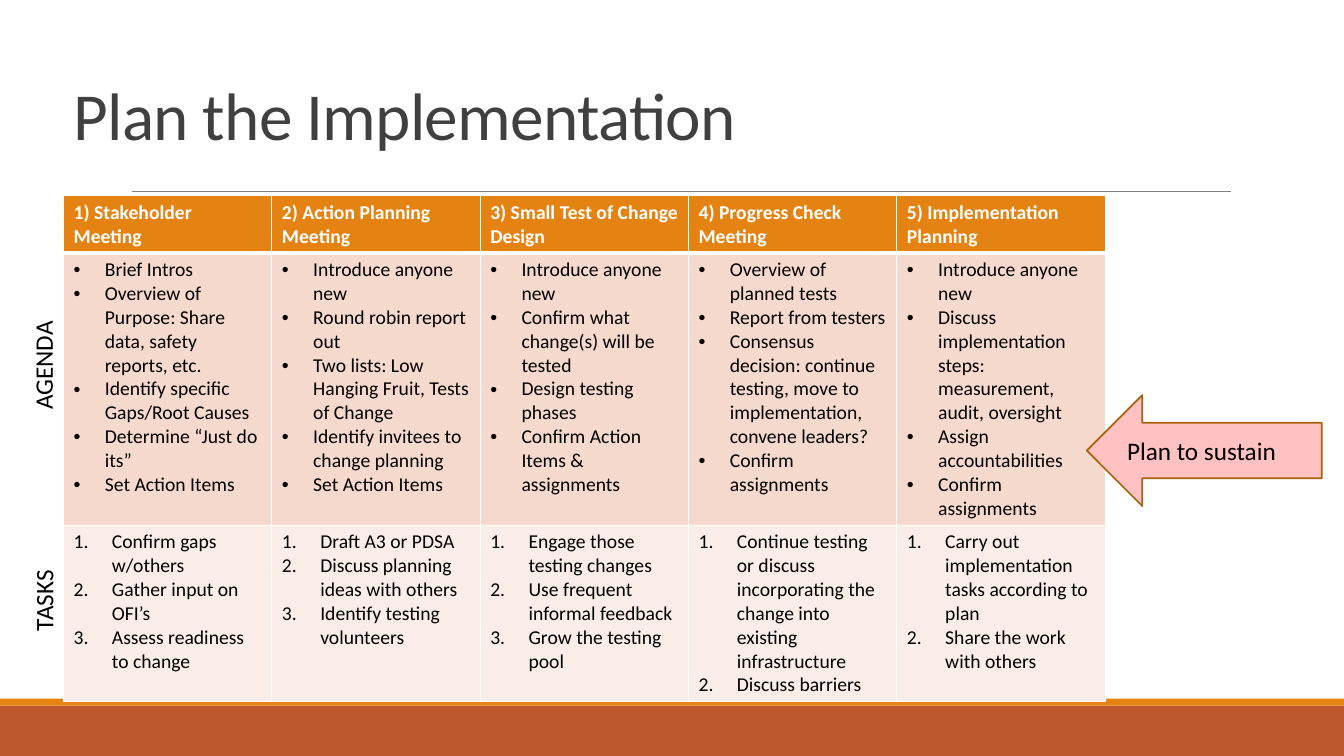
from dataclasses import dataclass
from typing import NamedTuple

from lxml import etree
from pptx import Presentation
from pptx import util as u
from pptx.dml.color import RGBColor
from pptx.enum import shapes, text
from pptx.oxml import ns

WIDTH, HEIGHT = u.Inches(13.33), u.Inches(7.5)
FONT = "Calibri"

WHITE = RGBColor(0xFF, 0xFF, 0xFF)
BLACK = RGBColor(0x00, 0x00, 0x00)
CHARCOAL = RGBColor(0x40, 0x40, 0x40)
GRAY = RGBColor(0x80, 0x80, 0x80)
ORANGE = RGBColor(0xE4, 0x83, 0x12)
RUST = RGBColor(0xBD, 0x58, 0x2C)
BROWN = RGBColor(0xA9, 0x61, 0x0D)
PINK = RGBColor(0xFF, 0xC1, 0xC1)
PEACH = RGBColor(0xF5, 0xD9, 0xCC)
BLUSH = RGBColor(0xFA, 0xED, 0xE7)


class Area(NamedTuple):
    """Left, top, width and height in percent of the slide."""
    left: float
    top: float
    width: float
    height: float

    def lengths(self) -> tuple[int, int, int, int]:
        return (across(self.left), down(self.top), across(self.width), down(self.height))


class Label(NamedTuple):
    wording: str
    area: Area
    rotation: int = 0


class ListStyle(NamedTuple):
    indent: float
    tag: str
    attribute: str
    value: str


@dataclass(frozen=True)
class Meeting:
    heading: str
    agenda: tuple[str, ...]
    tasks: tuple[str, ...]


@dataclass(frozen=True)
class RowStyle:
    height: float
    fill: RGBColor
    color: RGBColor
    bold: bool
    top_line: float
    bottom_line: float
    marker: ListStyle | None = None


BULLETS = ListStyle(0.31, "a:buChar", "char", "•")
NUMBERS = ListStyle(0.38, "a:buAutoNum", "type", "arabicPeriod")

ROW_STYLES = (
    RowStyle(7.6, ORANGE, WHITE, True, 1, 3),
    RowStyle(36, PEACH, BLACK, False, 3, 1, BULLETS),
    RowStyle(23.3, BLUSH, BLACK, False, 1, 1, NUMBERS),
)

MEETINGS = (
    Meeting("1) Stakeholder Meeting",
            ("Brief Intros", "Overview of Purpose: Share data, safety reports, etc.",
             "Identify specific Gaps/Root Causes", "Determine “Just do its”",
             "Set Action Items"),
            ("Confirm gaps w/others", "Gather input on OFI’s",
             "Assess readiness to change")),
    Meeting("2) Action Planning Meeting",
            ("Introduce anyone new", "Round robin report out",
             "Two lists: Low Hanging Fruit, Tests of Change",
             "Identify invitees to change planning", "Set Action Items"),
            ("Draft A3 or PDSA", "Discuss planning ideas with others",
             "Identify testing volunteers")),
    Meeting("3) Small Test of Change Design",
            ("Introduce anyone new", "Confirm what change(s) will be tested",
             "Design testing phases", "Confirm Action Items & assignments"),
            ("Engage those testing changes", "Use frequent informal feedback",
             "Grow the testing pool")),
    Meeting("4) Progress Check Meeting",
            ("Overview of planned tests", "Report from testers",
             "Consensus decision: continue testing, move to implementation, convene leaders?",
             "Confirm assignments"),
            ("Continue testing or discuss incorporating the change into existing infrastructure",
             "Discuss barriers")),
    Meeting("5) Implementation Planning",
            ("Introduce anyone new",
             "Discuss implementation steps: measurement, audit, oversight",
             "Assign accountabilities", "Confirm assignments"),
            ("Carry out implementation tasks according to plan",
             "Share the work with others")),
)

TABLE_AREA = Area(4.73, 25.87, 77.5, 66.9)
LABELS = (
    Label("AGENDA", Area(-3.75, 40.53, 13.88, 5.33), 270),
    Label("TASKS", Area(-0.9, 74.8, 8.25, 5.33), 270),
    Label("Plan to sustain", Area(83.12, 56.93, 15.15, 5.33)),
)


def across(percent: float) -> int:
    return round(WIDTH * percent / 100)


def down(percent: float) -> int:
    return round(HEIGHT * percent / 100)


def set_font(paragraph, size: float, color: RGBColor, bold: bool = False) -> None:
    font = paragraph.font
    font.name, font.size, font.bold = FONT, u.Pt(size), bold
    font.color.rgb = color


def add_block(page, kind, area: Area, fill: RGBColor, outline: RGBColor | None = None) -> None:
    block = page.shapes.add_shape(kind, *area.lengths())
    block.shadow.inherit = False
    block.fill.solid()
    block.fill.fore_color.rgb = fill
    if outline is None:
        block.line.fill.background()
    else:
        block.line.color.rgb = outline
        block.line.width = u.Pt(1.25)


def add_rule(page, left: float, right: float, top: float) -> None:
    rule = page.shapes.add_connector(shapes.MSO_CONNECTOR.STRAIGHT, across(left),
                                     down(top), across(right), down(top))
    rule.line.color.rgb = GRAY
    rule.line.width = u.Pt(0.5)
    etree.SubElement(rule._element.spPr, ns.qn("a:effectLst"))


def add_label(page, label: Label, size: float = 18, color: RGBColor = BLACK):
    box = page.shapes.add_textbox(*label.area.lengths())
    box.rotation = label.rotation
    box.text_frame.word_wrap = True
    box.text_frame.text = label.wording
    set_font(box.text_frame.paragraphs[0], size, color)
    return box


def add_title(page) -> None:
    box = add_label(page, Label("Plan the Implementation", Area(4.73, 1.73, 86.27, 19.33)),
                    48, CHARCOAL)
    box.text_frame.vertical_anchor = text.MSO_ANCHOR.BOTTOM
    para = box.text_frame.paragraphs[0]
    para.line_spacing = 0.85
    for span in para.runs:
        span.font._element.set("spc", "-50")


def mark_item(paragraph, marker: ListStyle) -> None:
    """Give the paragraph a hanging bullet or number."""
    properties = paragraph._p.get_or_add_pPr()
    indent = u.Inches(marker.indent)
    properties.set("marL", str(indent))
    properties.set("indent", str(-indent))
    etree.SubElement(properties, ns.qn("a:buFont"), typeface="Arial" if marker is BULLETS else FONT)
    etree.SubElement(properties, ns.qn(marker.tag)).set(marker.attribute, marker.value)


def set_borders(cell, style: RowStyle) -> None:
    properties = cell._tc.get_or_add_tcPr()
    widths = {"L": 1, "R": 1, "T": style.top_line, "B": style.bottom_line}
    for position, (side, width) in enumerate(widths.items()):
        border = etree.Element(ns.qn(f"a:ln{side}"), w=str(u.Pt(width)))
        fill = etree.SubElement(border, ns.qn("a:solidFill"))
        etree.SubElement(fill, ns.qn("a:srgbClr"), val=str(WHITE))
        properties.insert(position, border)


def fill_cell(cell, items: tuple[str, ...], style: RowStyle) -> None:
    cell.fill.solid()
    cell.fill.fore_color.rgb = style.fill
    set_borders(cell, style)
    cell.text_frame.text = "\n".join(items)
    for para in cell.text_frame.paragraphs:
        if style.marker:
            mark_item(para, style.marker)
        set_font(para, 14, style.color, style.bold)


def add_meeting_table(page) -> None:
    table = page.shapes.add_table(len(ROW_STYLES), len(MEETINGS), *TABLE_AREA.lengths()).table
    for row, style in zip(table.rows, ROW_STYLES):
        row.height = down(style.height)
    for column, meeting in enumerate(MEETINGS):
        contents = ((meeting.heading,), meeting.agenda, meeting.tasks)
        for row, (items, style) in enumerate(zip(contents, ROW_STYLES)):
            fill_cell(table.cell(row, column), items, style)


def main() -> None:
    deck = Presentation()
    deck.slide_width, deck.slide_height = WIDTH, HEIGHT
    page = deck.slides.add_slide(deck.slide_layouts[6])
    add_block(page, shapes.MSO_SHAPE.RECTANGLE, Area(0, 93.33, 100, 6.67), RUST)
    add_block(page, shapes.MSO_SHAPE.RECTANGLE, Area(0, 92.4, 100, 0.93), ORANGE)
    add_rule(page, 9.83, 91.6, 25.33)
    add_title(page)
    add_meeting_table(page)
    add_block(page, shapes.MSO_SHAPE.LEFT_ARROW, Area(80.87, 52.27, 17.48, 14.67), PINK, BROWN)
    for label in LABELS:
        add_label(page, label)
    deck.save("out.pptx")


if __name__ == "__main__":
    main()
